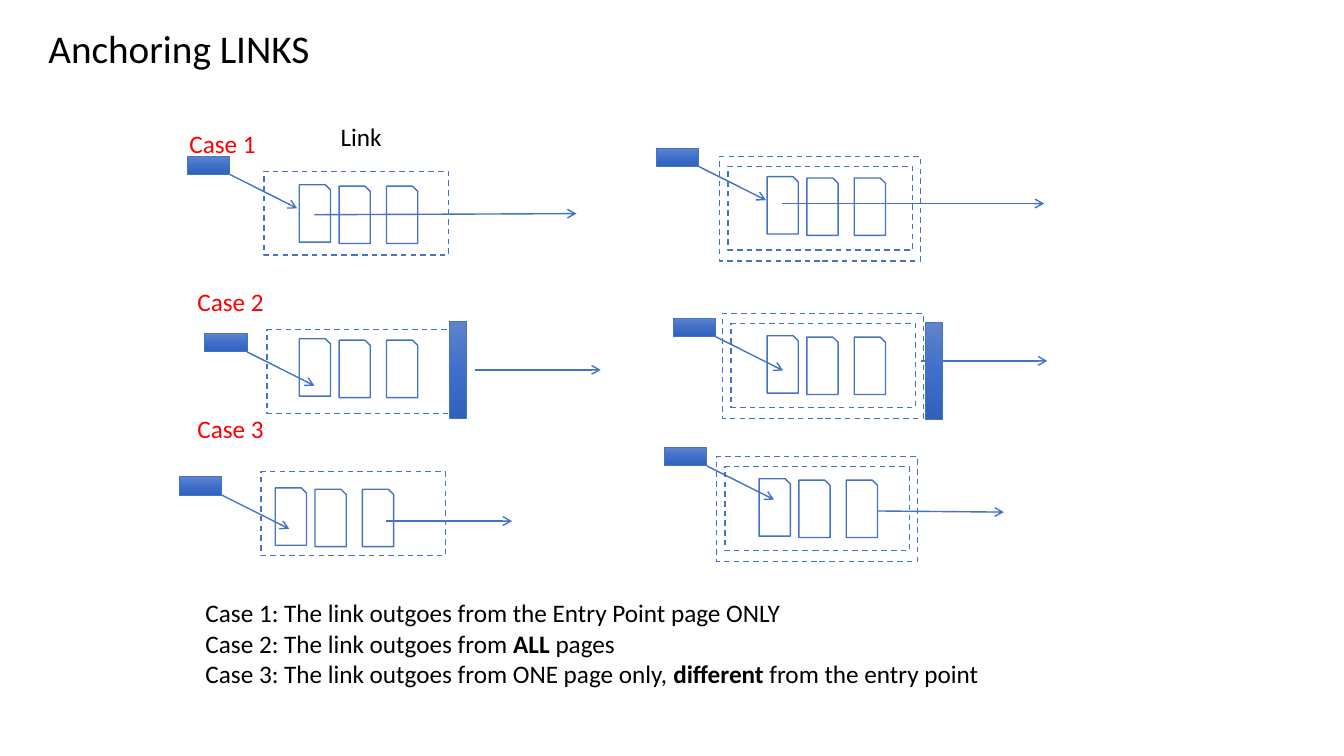
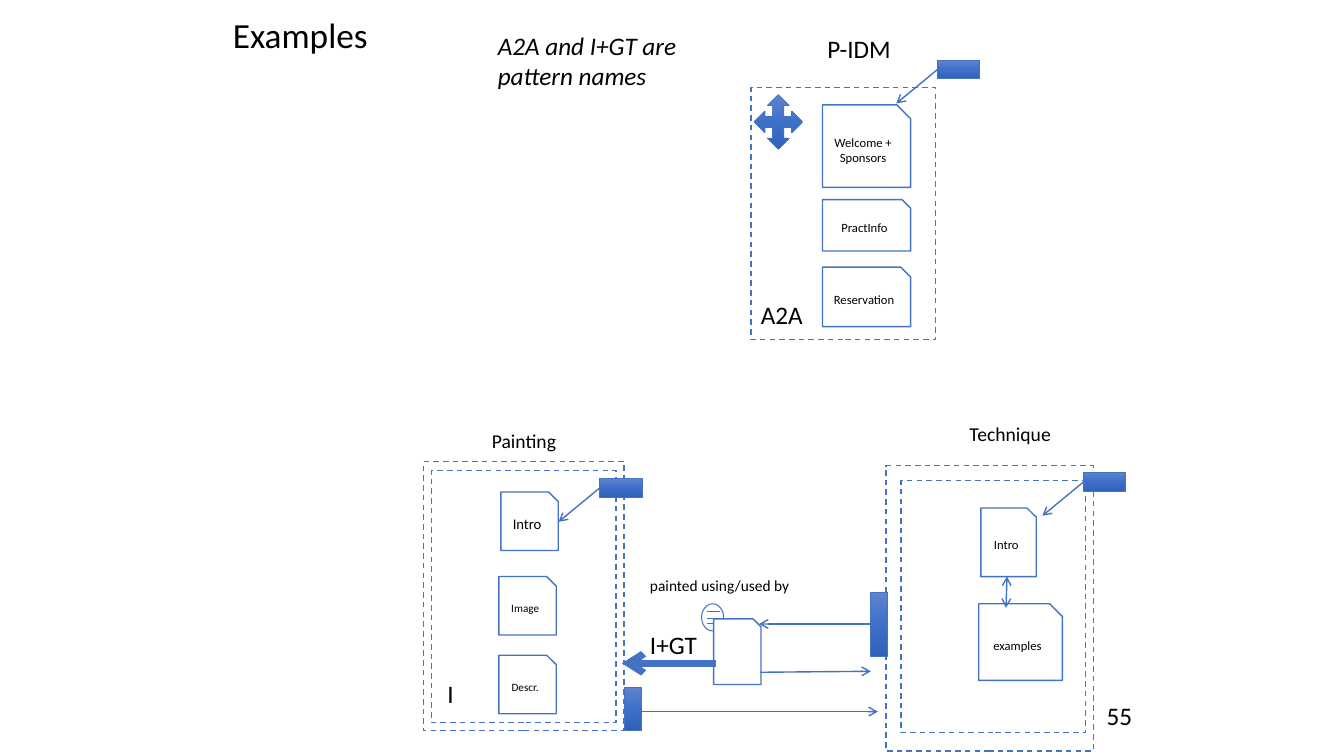
from copy import deepcopy
from dataclasses import dataclass
from typing import NamedTuple, Optional

from lxml.etree import SubElement
from pptx import Presentation
from pptx.dml.color import RGBColor
from pptx.enum.dml import MSO_LINE
from pptx.enum.shapes import MSO_CONNECTOR, MSO_SHAPE
from pptx.enum.text import MSO_ANCHOR, MSO_AUTO_SIZE, PP_ALIGN
from pptx.oxml.ns import qn
from pptx.shapes.autoshape import Shape
from pptx.slide import Slide
from pptx.util import Pt

# Shared style
COLORS = {
    "ink": "000000", "paper": "FFFFFF", "accent": "4472C4", "case": "FF0000",
    "grad_top": "6183CB", "grad_middle": "3E70CA", "grad_bottom": "3062BB",
}
FONT = "Calibri"
TITLE_ONLY = 5
ENTRY_SIZE = (30.2, 13)
PAGE_SIZE = (22.3, 41)
PAGE_OFFSETS = ((0, 0), (28.4, 1), (62.3, 1))
FRAME_SIZE = (131.8, 59.8)
OUTER_SIZE = (143.3, 74.9)
BAR_SIZE = (12.2, 69.1)


class Point(NamedTuple):
    x: float
    y: float


class Box(NamedTuple):
    left: float
    top: float
    width: float
    height: float


class Run(NamedTuple):
    text: str
    bold: bool = False
    italic: bool = False


@dataclass
class LinkCase:
    frame: Point
    first_page: Point
    entry: Point
    exit_start: Point
    exit_end: Point
    nested: bool = False
    bar: Optional[Point] = None


@dataclass
class Label:
    box: Box
    runs: list[Run]
    size: float = 18
    color: str = "ink"
    wrap: bool = True


@dataclass
class Page:
    box: Box
    text: str = ""
    size: float = 9


@dataclass
class Arrow:
    start: Point
    end: Point
    width: float = 1
    both: bool = False


def rgb(name: str) -> RGBColor:
    return RGBColor.from_string(COLORS[name])


def points(box: Box) -> list[int]:
    return [Pt(value) for value in box]


def add_run(paragraph, run: Run, size: float, color: str = "ink") -> None:
    text_run = paragraph.add_run()
    text_run.text = run.text
    font = text_run.font
    font.name, font.size = FONT, Pt(size)
    font.bold, font.italic = run.bold, run.italic
    font.color.rgb = rgb(color)


def add_titled_slide(presentation, text: str, box: Box, size: float) -> Slide:
    slide = presentation.slides.add_slide(presentation.slide_layouts[TITLE_ONLY])
    title = slide.shapes.title
    title.left, title.top, title.width, title.height = points(box)
    frame = title.text_frame
    frame.auto_size = MSO_AUTO_SIZE.NONE
    frame.vertical_anchor = MSO_ANCHOR.MIDDLE
    paragraph = frame.paragraphs[0]
    paragraph.alignment = PP_ALIGN.LEFT
    paragraph.line_spacing = 0.9
    add_run(paragraph, Run(text), size)
    return slide


def add_label(slide: Slide, label: Label, *more_lines: list[Run]) -> None:
    frame = slide.shapes.add_textbox(*points(label.box)).text_frame
    frame.word_wrap = label.wrap
    for index, runs in enumerate([label.runs, *more_lines]):
        paragraph = frame.add_paragraph() if index else frame.paragraphs[0]
        for run in runs:
            add_run(paragraph, run, label.size, label.color)


def add_outline(slide: Slide, kind: MSO_SHAPE, box: Box, width: float = 1) -> Shape:
    shape = slide.shapes.add_shape(kind, *points(box))
    shape.shadow.inherit = False
    shape.fill.solid()
    shape.fill.fore_color.rgb = rgb("paper")
    shape.line.color.rgb = rgb("accent")
    shape.line.width = Pt(width)
    return shape


def add_frame(slide: Slide, box: Box) -> None:
    add_outline(slide, MSO_SHAPE.RECTANGLE, box).line.dash_style = MSO_LINE.DASH


def add_page(slide: Slide, page: Page) -> None:
    shape = add_outline(slide, MSO_SHAPE.SNIP_1_RECTANGLE, page.box)
    if page.text:
        frame = shape.text_frame
        frame.word_wrap = True
        frame.vertical_anchor = MSO_ANCHOR.MIDDLE
        frame.paragraphs[0].alignment = PP_ALIGN.CENTER
        add_run(frame.paragraphs[0], Run(page.text), page.size)


def add_solid(slide: Slide, box: Box, kind: MSO_SHAPE = MSO_SHAPE.RECTANGLE) -> None:
    shape = add_outline(slide, kind, box, 0.5)
    shape.fill.gradient()
    shape.fill.gradient_angle = 270
    # A third gradient stop needs XML
    stop_list = shape.element.spPr.find(".//" + qn("a:gsLst"))
    middle = deepcopy(stop_list[0])
    middle.set("pos", "50000")
    stop_list.insert(1, middle)
    names = ("grad_top", "grad_middle", "grad_bottom")
    for stop, name in zip(shape.fill.gradient_stops, names):
        stop.color.rgb = rgb(name)


def add_line(slide: Slide, start: Point, end: Point, width: float, heads: tuple = ()) -> None:
    connector = slide.shapes.add_connector(
        MSO_CONNECTOR.STRAIGHT, *(Pt(value) for value in (*start, *end)))
    connector.line.color.rgb = rgb("accent")
    connector.line.width = Pt(width)
    properties = connector.element.spPr
    for head in heads:
        SubElement(properties.find(qn("a:ln")), qn(head)).set("type", "arrow")
    SubElement(properties, qn("a:effectLst"))


def add_arrow(slide: Slide, arrow: Arrow) -> None:
    heads = ("a:headEnd", "a:tailEnd") if arrow.both else ("a:tailEnd",)
    add_line(slide, arrow.start, arrow.end, arrow.width, heads)


def add_case(slide: Slide, case: LinkCase) -> None:
    x, y = case.frame
    if case.nested:
        add_frame(slide, Box(x, y, *OUTER_SIZE))
        x, y = x + 6, y + 7.2
    add_frame(slide, Box(x, y, *FRAME_SIZE))
    for dx, dy in PAGE_OFFSETS:
        page = case.first_page
        add_page(slide, Page(Box(page.x + dx, page.y + dy, *PAGE_SIZE)))
    entry = case.entry
    add_solid(slide, Box(*entry, *ENTRY_SIZE))
    add_arrow(slide, Arrow(Point(entry.x + ENTRY_SIZE[0], entry.y + ENTRY_SIZE[1]),
                           Point(entry.x + 78.4, entry.y + 37.2)))
    add_arrow(slide, Arrow(case.exit_start, case.exit_end))
    if case.bar:
        add_solid(slide, Box(*case.bar, *BAR_SIZE))


def add_side_entry(slide: Slide, left: float, top: float) -> None:
    middle = top + ENTRY_SIZE[1] / 2
    add_solid(slide, Box(left, top, *ENTRY_SIZE))
    add_arrow(slide, Arrow(Point(left, middle), Point(left - 29.4, middle + 24.2)))


presentation = Presentation()
presentation.slide_width, presentation.slide_height = Pt(960), Pt(540)

# Slide 1: anchoring links
anchoring = add_titled_slide(presentation, "Anchoring LINKS", Box(27.4, 0, 548.6, 72), 28)
CASES = [
    LinkCase(Point(188.6, 122.4), Point(213.8, 132), Point(133.9, 111.6),
             Point(224.6, 153.4), Point(411.8, 152.6)),
    LinkCase(Point(190.8, 235.4), Point(213.8, 242), Point(146.2, 238.3),
             Point(339.1, 264.2), Point(429.1, 264.2), bar=Point(321.1, 229.7)),
    LinkCase(Point(186.5, 337), Point(196.6, 348.5), Point(128.2, 340.6),
             Point(275.8, 372.2), Point(365.8, 372.2)),
    LinkCase(Point(514.1, 111.6), Point(547.9, 126.2), Point(468.7, 105.8),
             Point(558.7, 145.4), Point(745.9, 145.4), nested=True),
    LinkCase(Point(516.2, 223.9), Point(547.9, 239.8), Point(481, 227.5),
             Point(658.1, 257.8), Point(748.1, 257.8), nested=True, bar=Point(661, 230.4)),
    LinkCase(Point(511.9, 326.2), Point(542.2, 342), Point(474.5, 319.7),
             Point(627.1, 365), Point(717.1, 365.8), nested=True),
]
for case in CASES:
    add_case(anchoring, case)

# Case names and explanation
add_label(anchoring, Label(Box(236.2, 82.8, 62.6, 28.8), [Run("Link")]))
for number, corner in enumerate(((128.2, 87.8), (133.9, 200.9), (133.9, 291.6)), 1):
    add_label(anchoring, Label(Box(*corner, 96.5, 28.8), [Run(f"Case {number}")], color="case"))
add_label(
    anchoring,
    Label(Box(139.7, 423.4, 675.4, 72.7),
          [Run("Case 1: The link outgoes from the Entry Point page ONLY")]),
    [Run("Case 2: The link outgoes from "), Run("ALL ", bold=True), Run("pages")],
    [Run("Case 3: The link outgoes from ONE page only, "), Run("different ", bold=True),
     Run("from the entry point")],
)

# Slide 2: examples
examples = add_titled_slide(presentation, "Examples", Box(159.1, 7.9, 377.3, 37.4), 25.2)
for box in (
    Box(536.4, 62.6, 131.8, 180),
    Box(302.4, 329.8, 143.3, 192.2), Box(308.2, 336.2, 131.8, 180),
    Box(632.9, 332.6, 148.3, 203.8), Box(643.7, 343.4, 131.8, 180),
):
    add_frame(examples, box)

# Icon behind the relation page
add_outline(examples, MSO_SHAPE.OVAL, Box(501.1, 431.3, 15.8, 19.4), 0.75)
for y in (437, 442.1, 445.7):
    add_line(examples, Point(504.7, y), Point(514.1, y), 0.75)

# Pages
for page in (
    Page(Box(587.5, 74.9, 62.9, 59), "Welcome + Sponsors"),
    Page(Box(587.5, 142.6, 62.9, 36.7), "PractInfo"),
    Page(Box(587.5, 190.8, 62.9, 42.5), "Reservation"),
    Page(Box(357.8, 351.4, 41, 41.8), "Intro", 10.5),
    Page(Box(356.4, 411.8, 41, 41.8), "Image", 8),
    Page(Box(356.4, 468, 41, 41.8), "Descr.", 8),
    Page(Box(509.8, 442.1, 33.8, 46.8)),
    Page(Box(700.6, 362.9, 39.6, 49), "Intro"),
    Page(Box(699.1, 431.3, 59.8, 54.7), "examples"),
):
    add_page(examples, page)

# Entry points, bars and links
for corner in ((669.6, 43.2), (428.4, 342), (774, 337.7)):
    add_side_entry(examples, *corner)
for arrow in (
    Arrow(Point(542.9, 480.2), Point(622.1, 479.5)),
    Arrow(Point(622.8, 445.7), Point(542.2, 445.7)),
    Arrow(Point(511.2, 473.8), Point(444.2, 473.8), width=5),
    Arrow(Point(719.3, 411.8), Point(718.6, 434.2), both=True),
    Arrow(Point(445.7, 508.3), Point(627.1, 508.3)),
):
    add_arrow(examples, arrow)
add_solid(examples, Box(621.4, 423.4, 12.2, 45.4))
add_solid(examples, Box(445.7, 491, 12.2, 31))
add_solid(examples, Box(538.6, 67.7, 34.6, 38.9), MSO_SHAPE.QUAD_ARROW)

# Labels
for label in (
    Label(Box(583.9, 20.2, 60.5, 28.8), [Run("P-IDM")], wrap=False),
    Label(Box(536.4, 210.2, 62.6, 28.8), [Run("A2A")]),
    Label(Box(344.2, 303.1, 61.2, 24.5), [Run("Painting")], 14, wrap=False),
    Label(Box(685.4, 298.1, 73.4, 24.5), [Run("Technique")], 14, wrap=False),
    Label(Box(457.2, 408.2, 114.5, 20.9), [Run("painted using/used by")], 11, wrap=False),
    Label(Box(312.5, 481, 62.6, 28.8), [Run("I")]),
    Label(Box(457.2, 445.7, 73.4, 28.8), [Run("I+GT")]),
    Label(Box(348.5, 18, 156.2, 51.1), [Run("A2A and I+GT are pattern names", italic=True)]),
    Label(Box(783.4, 496.8, 54, 43.2), [Run("55")]),
):
    add_label(examples, label)

presentation.save("out.pptx")
